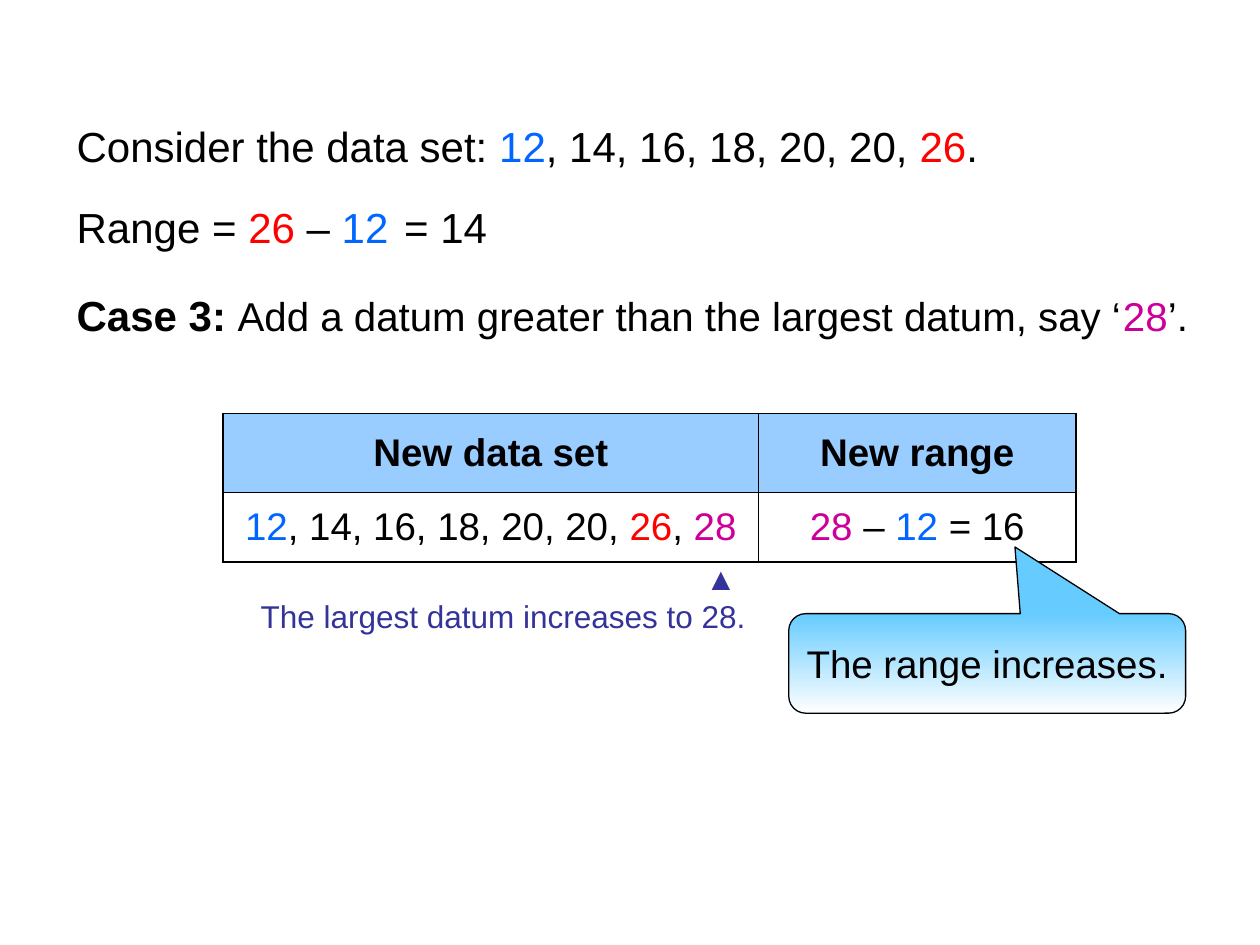
import pptx
import pptx.util
import pptx.dml.color
import pptx.enum.shapes
import pptx.enum.text
import pptx.oxml
import pptx.oxml.ns

Inches, Pt = pptx.util.Inches, pptx.util.Pt
CENTER = pptx.enum.text.PP_ALIGN.CENTER
MIDDLE = pptx.enum.text.MSO_ANCHOR.MIDDLE

COLORS = {
    "black": "000000", "white": "FFFFFF", "blue": "0066FF", "red": "FF0000",
    "pink": "CC0099", "navy": "333399", "head": "99CCFF", "sky": "66CCFF",
}
LOW, HIGH, ADDED = ("12", "blue"), ("26", "red"), ("28", "pink")
LIST = (", 14, 16, 18, 20, 20, ", "black")
MINUS = (" – ", "black")

LINES = [
    (0.51, 0.91, 9.07, [("Consider the data set: ", "black"), LOW, LIST, HIGH, (".", "black")]),
    (0.51, 1.55, 3.01, [("Range = ", "black"), HIGH, MINUS, LOW]),
    (3.11, 1.55, 2.66, [("= 14", "black")]),
]
CASE = ("Case 3: ", [("Add a datum greater than the largest datum, say ‘", "black"),
                     ADDED, ("’.", "black")])
TABLES = [
    (4.25, "New data set", [LOW, LIST, HIGH, (", ", "black"), ADDED]),
    (2.52, "New range", [ADDED, MINUS, LOW, (" = 16", "black")]),
]
LEFT, TOP, ROWS = 1.77, 3.28, (0.63, 0.55)
NOTE = [("▲", 3.53), ("The largest datum increases to 28.", 0)]
CALLOUT = "The range increases."


def tint(name):
    return pptx.dml.color.RGBColor.from_string(COLORS[name])


def style(para, size, bold=False):
    para.font.name = "Arial"
    para.font.size = Pt(size)
    para.font.bold = bold


def write(para, runs):
    for text, color in runs:
        run = para.add_run()
        run.text = text
        run.font.color.rgb = tint(color)


def add_box(slide, left, top, width, height=0.51):
    box = slide.shapes.add_textbox(*map(Inches, (left, top, width, height)))
    box.text_frame.word_wrap = True
    return box.text_frame


def border(cell):
    props = cell._tc.get_or_add_tcPr()
    for index, side in enumerate(("lnL", "lnR", "lnT", "lnB")):
        props.insert(index, pptx.oxml.parse_xml(
            f'<a:{side} {pptx.oxml.ns.nsdecls("a")} w="12700"><a:solidFill>'
            f'<a:srgbClr val="{COLORS["black"]}"/></a:solidFill></a:{side}>'))


def add_table(slide, left, width, head, runs):
    table = slide.shapes.add_table(
        2, 1, Inches(left), Inches(TOP), Inches(width), Inches(sum(ROWS))).table
    rows = [([(head, "black")], "head", True), (runs, "white", False)]
    for index, (words, fill, bold) in enumerate(rows):
        table.rows[index].height = Inches(ROWS[index])
        cell = table.cell(index, 0)
        cell.vertical_anchor = MIDDLE
        cell.fill.solid()
        cell.fill.fore_color.rgb = tint(fill)
        border(cell)
        para = cell.text_frame.paragraphs[0]
        para.alignment = CENTER
        style(para, 22, bold)
        write(para, words)


def add_note(slide):
    frame = add_box(slide, 1.97, 4.39, 4.21, 0.71)
    for index, (text, indent) in enumerate(NOTE):
        para = frame.add_paragraph() if index else frame.paragraphs[0]
        para._p.get_or_add_pPr().set("marL", str(Inches(indent)))
        style(para, 18)
        write(para, [(text, "navy")])


def add_callout(slide):
    shape = slide.shapes.add_shape(
        pptx.enum.shapes.MSO_SHAPE.ROUNDED_RECTANGULAR_CALLOUT,
        Inches(6.26), Inches(4.87), Inches(3.15), Inches(0.79))
    for index, value in enumerate((0.07, -1.17, 0.17)):
        shape.adjustments[index] = value
    shape.shadow.inherit = False
    shape.fill.gradient()
    shape.fill.gradient_angle = 270
    for stop, color in zip(shape.fill.gradient_stops, ("sky", "white")):
        stop.color.rgb = tint(color)
    shape.line.color.rgb = tint("black")
    shape.line.width = Pt(0.75)
    frame = shape.text_frame
    frame.word_wrap = False
    frame.vertical_anchor = MIDDLE
    para = frame.paragraphs[0]
    para.alignment = CENTER
    style(para, 22)
    write(para, [(CALLOUT, "black")])


def main():
    deck = pptx.Presentation()
    deck.slide_width, deck.slide_height = Inches(10), Inches(7.5)
    slide = deck.slides.add_slide(deck.slide_layouts[6])
    for left, top, width, runs in LINES:
        para = add_box(slide, left, top, width).paragraphs[0]
        style(para, 24)
        write(para, runs)
    label, runs = CASE
    para = add_box(slide, 0.51, 2.25, 9.23).paragraphs[0]
    style(para, 23)
    write(para, [(label, "black")] + runs)
    para.runs[0].font.size = Pt(24)
    para.runs[0].font.bold = True
    left = LEFT
    for width, head, runs in TABLES:
        add_table(slide, left, width, head, runs)
        left += width
    add_note(slide)
    add_callout(slide)
    deck.save("out.pptx")


if __name__ == "__main__":
    main()
